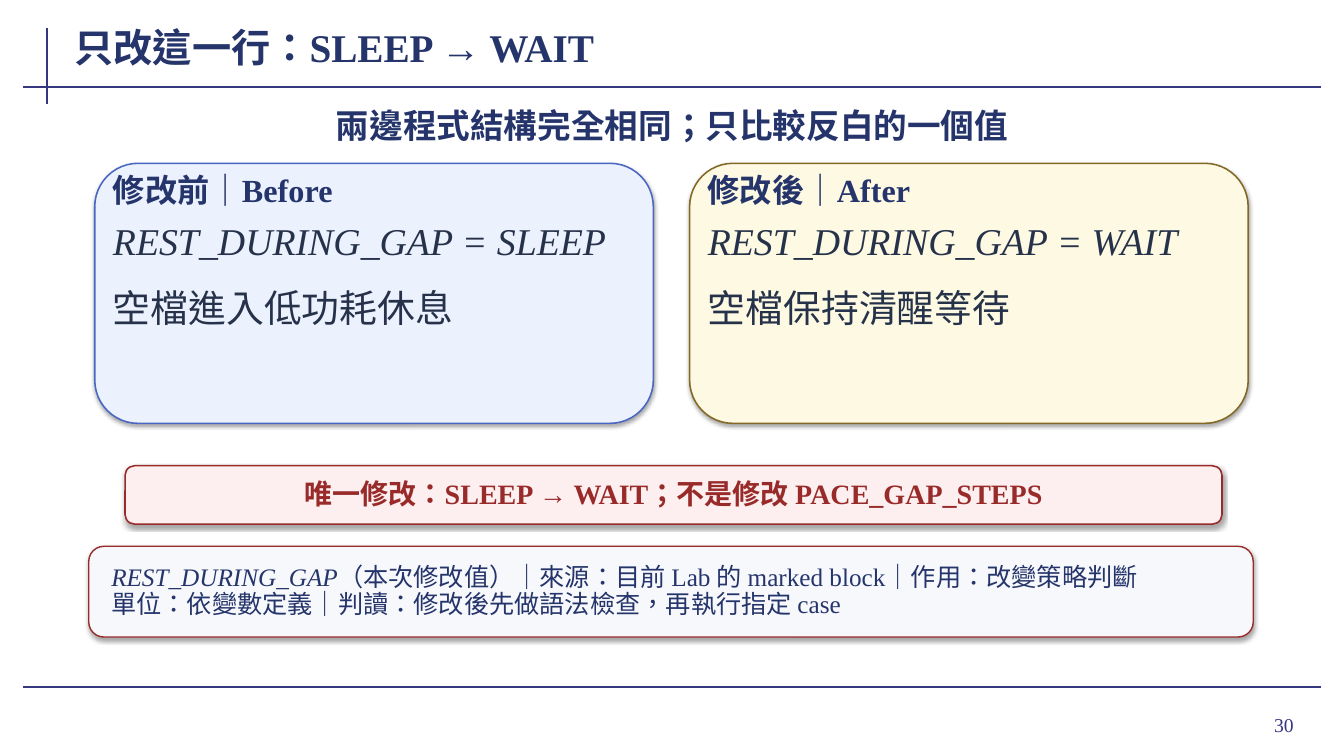
from lxml import etree
from pptx import Presentation
from pptx.dml.color import RGBColor
from pptx.enum.lang import MSO_LANGUAGE_ID
from pptx.enum.shapes import MSO_CONNECTOR, MSO_SHAPE
from pptx.enum.text import MSO_ANCHOR, PP_ALIGN
from pptx.oxml import parse_xml
from pptx.oxml.ns import nsdecls, qn
from pptx.util import Inches, Pt

ROUNDED = MSO_SHAPE.ROUNDED_RECTANGLE
STRAIGHT = MSO_CONNECTOR.STRAIGHT
TOP, MIDDLE = MSO_ANCHOR.TOP, MSO_ANCHOR.MIDDLE
LEFT, CENTER, RIGHT = PP_ALIGN.LEFT, PP_ALIGN.CENTER, PP_ALIGN.RIGHT
CHINESE = MSO_LANGUAGE_ID.TRADITIONAL_CHINESE

FONT = "Times New Roman"
WHITE = RGBColor(0xFF, 0xFF, 0xFF)
RULE = RGBColor(0x35, 0x37, 0x7F)
NAVY = RGBColor(0x25, 0x35, 0x6B)
INK = RGBColor(0x25, 0x32, 0x4A)
RED = RGBColor(0x99, 0x2A, 0x2A)
PINK = RGBColor(0xFD, 0xEF, 0xEF)
MIST = RGBColor(0xF7, 0xF8, 0xFC)
BLUE = RGBColor(0x49, 0x67, 0xC2)
PALE_BLUE = RGBColor(0xEC, 0xF1, 0xFE)
BROWN = RGBColor(0x84, 0x68, 0x26)
CREAM = RGBColor(0xFD, 0xF9, 0xE2)

WIDTH, HEIGHT = 13.33, 7.5
RULE_LEFT, RULE_RIGHT = 0.23, 13.1
TIGHT = (0.02, 0.01)
CARD_LEFT, CARD_WIDTH, CARD_PITCH = 0.94, 5.54, 5.9

SHADOW = (f'<a:effectLst {nsdecls("a")}><a:outerShdw blurRad="{Pt(3.1)}" '
          f'dist="{Pt(1.8)}" dir="5400000" algn="t" rotWithShape="0">'
          '<a:srgbClr val="000000"><a:alpha val="35000"/></a:srgbClr>'
          '</a:outerShdw></a:effectLst>')


def write(shape, paragraphs, color, size, align=LEFT, anchor=TOP,
          inset=TIGHT, spacing=1.0, gap=0, **style):
    """Each paragraph is a list of (text, italic) runs."""
    frame = shape.text_frame
    frame.word_wrap = True
    frame.vertical_anchor = anchor
    frame.margin_left = frame.margin_right = Inches(inset[0])
    frame.margin_top = frame.margin_bottom = Inches(inset[1])
    for i, runs in enumerate(paragraphs):
        paragraph = frame.add_paragraph() if i else frame.paragraphs[0]
        paragraph.alignment = align
        paragraph.line_spacing = spacing
        if i and gap:
            paragraph.space_before = Pt(gap)
        for text, italic in runs:
            run = paragraph.add_run()
            run.text = text
            run.font.color.rgb = color
            look = {"name": FONT, "size": Pt(size), "italic": italic,
                    "language_id": CHINESE, **style}
            for key, value in look.items():
                setattr(run.font, key, value)


def label(slide, box, text, color, size, **options):
    shape = slide.shapes.add_textbox(*map(Inches, box))
    write(shape, [[(text, False)]], color, size, **options)


def panel(slide, box, fill, border, weight=1.1):
    shape = slide.shapes.add_shape(ROUNDED, *map(Inches, box))
    shape.fill.solid()
    shape.fill.fore_color.rgb = fill
    shape.line.color.rgb = border
    shape.line.width = Pt(weight)
    shape.shadow.inherit = False
    properties = shape._element.spPr
    properties.replace(properties.find(qn("a:effectLst")), parse_xml(SHADOW))
    return shape


def rule(slide, x1, y1, x2, y2):
    line = slide.shapes.add_connector(STRAIGHT, *map(Inches, (x1, y1, x2, y2)))
    line.line.color.rgb = RULE
    line.line.width = Pt(1.5)
    etree.SubElement(line._element.spPr, qn("a:effectLst"))


def page_frame(slide, title, number):
    rule(slide, 0.47, 0.28, 0.47, 1.03)
    for y in (0.86, 6.82):
        rule(slide, RULE_LEFT, y, RULE_RIGHT, y)
    label(slide, (11.96, 6.93, 0.97, 0.52), number, RULE, 14,
          align=RIGHT, anchor=MIDDLE, inset=(0.1, 0.05))
    label(slide, (0.72, 0.2, 10.35, 0.53), title, NAVY, 28,
          anchor=MIDDLE, inset=(0.02, 0), bold=True)


def version_card(slide, box, heading, code, effect, fill, border):
    left, top, width, height = box
    panel(slide, box, fill, border)
    inner_left, inner_width = left + 0.16, width - 0.32
    label(slide, (inner_left, top + 0.1, inner_width, 0.46), heading,
          NAVY, 23, spacing=0.9, bold=True)
    body = slide.shapes.add_textbox(*map(
        Inches, (inner_left, top + 0.58, inner_width, height - 0.66)))
    write(body, [[(code, True)], [(effect, False)]], INK, 27,
          spacing=0.9, gap=18.6)


def change_banner(slide, box, text):
    banner = panel(slide, box, PINK, RED)
    write(banner, [[(text, False)]], RED, 20, align=CENTER, anchor=MIDDLE,
          inset=(0.12, 0.04), spacing=0.95, bold=True)


def variable_note(slide, box, paragraphs):
    note = panel(slide, box, MIST, RED, weight=1)
    write(note, paragraphs, NAVY, 18, anchor=MIDDLE, inset=(0.18, 0.03),
          spacing=0.9)


def main():
    deck = Presentation()
    deck.slide_width, deck.slide_height = Inches(WIDTH), Inches(HEIGHT)
    slide = deck.slides.add_slide(deck.slide_layouts[6])
    slide.background.fill.solid()
    slide.background.fill.fore_color.rgb = WHITE

    page_frame(slide, "只改這一行：SLEEP → WAIT", "30")
    label(slide, (CARD_LEFT, 0.98, 11.45, 0.52),
          "兩邊程式結構完全相同；只比較反白的一個值", NAVY, 24,
          align=CENTER, anchor=MIDDLE, bold=True)

    # Before and after, side by side
    versions = [
        ("修改前｜Before", "REST_DURING_GAP = SLEEP", "空檔進入低功耗休息",
         PALE_BLUE, BLUE),
        ("修改後｜After", "REST_DURING_GAP = WAIT", "空檔保持清醒等待",
         CREAM, BROWN),
    ]
    for column, version in enumerate(versions):
        left = CARD_LEFT + column * CARD_PITCH
        version_card(slide, (left, 1.62, CARD_WIDTH, 2.58), *version)

    # What changes, and what the variable means
    change_banner(slide, (1.24, 4.62, 10.88, 0.58),
                  "唯一修改：SLEEP → WAIT；不是修改 PACE_GAP_STEPS")
    variable_note(slide, (0.88, 5.42, 11.55, 0.9), [
        [("REST_DURING_GAP", True),
         ("（本次修改值）｜來源：目前 Lab 的 marked block｜作用：改變策略判斷", False)],
        [("單位：依變數定義｜判讀：修改後先做語法檢查，再執行指定 case", False)],
    ])
    deck.save("out.pptx")


if __name__ == "__main__":
    main()
